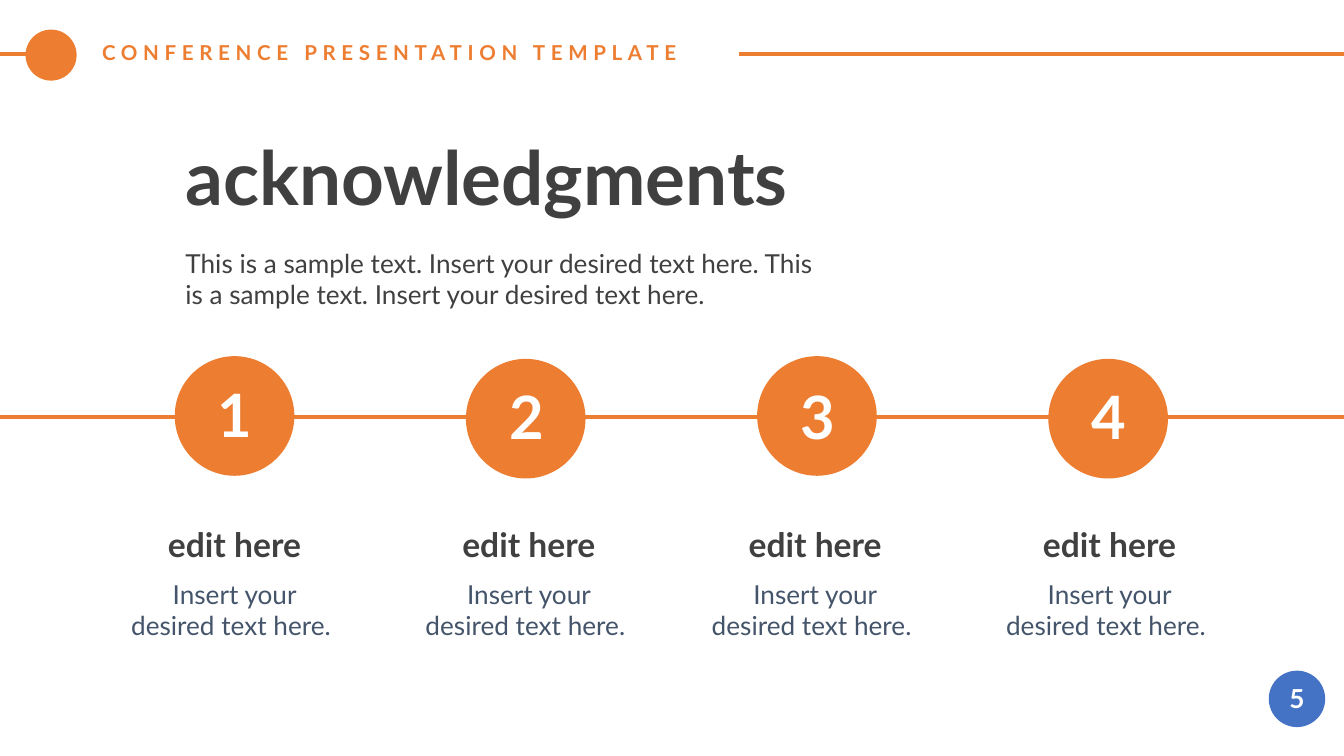
from pptx import Presentation
from pptx.dml.color import RGBColor
from pptx.enum.shapes import MSO_CONNECTOR, MSO_SHAPE
from pptx.enum.text import MSO_ANCHOR, MSO_AUTO_SIZE, PP_ALIGN
from pptx.oxml.ns import qn
from pptx.util import Inches, Pt

COLORS = {
    "accent": "ED7D31",
    "badge": "4472C4",
    "dark": "404040",
    "slate": "44546A",
    "white": "FFFFFF",
}
FONT = "Lato"
STEP_PITCH = 6.5 / 3

# Number, circle top, number top, caption left
STEPS = [
    ("1", 2.65, 2.78, 0.96),
    ("2", 2.67, 2.8, 3.15),
    ("3", 2.65, 2.8, 5.28),
    ("4", 2.67, 2.8, 7.47),
]


def color(name):
    return RGBColor.from_string(COLORS[name])


def add_line(slide, start, end, top):
    line = slide.shapes.add_connector(
        MSO_CONNECTOR.STRAIGHT, Inches(start), Inches(top), Inches(end), Inches(top))
    line.line.color.rgb = color("accent")
    line.line.width = Pt(2)
    properties = line._element.spPr
    properties.append(properties.makeelement(qn("a:effectLst"), {}))


def add_circle(slide, left, top, diameter, fill="accent"):
    circle = slide.shapes.add_shape(
        MSO_SHAPE.OVAL, Inches(left), Inches(top), Inches(diameter), Inches(diameter))
    circle.shadow.inherit = False
    circle.fill.solid()
    circle.fill.fore_color.rgb = color(fill)
    circle.line.fill.background()


def write(shape, text, size, text_color, bold=False,
          align=PP_ALIGN.LEFT, anchor=MSO_ANCHOR.MIDDLE):
    frame = shape.text_frame
    frame.text = text
    frame.word_wrap = True
    frame.auto_size = MSO_AUTO_SIZE.NONE
    frame.vertical_anchor = anchor
    frame.margin_left = frame.margin_right = frame.margin_top = frame.margin_bottom = 0
    paragraph = frame.paragraphs[0]
    paragraph.alignment = align
    font = paragraph.font
    font.name, font.size, font.bold = FONT, Pt(size), bold
    font.color.rgb = color(text_color)
    return paragraph


def add_text(slide, box, text, size, text_color, **style):
    shape = slide.shapes.add_textbox(*map(Inches, box))
    write(shape, text, size, text_color, **style)


def fill_placeholder(placeholder, box, text, size, text_color, **style):
    placeholder.left, placeholder.top, placeholder.width, placeholder.height = map(Inches, box)
    paragraph = write(placeholder, text, size, text_color, bold=True, **style)
    # No bullet or hanging indent
    properties = paragraph._p.get_or_add_pPr()
    properties.set("marL", "0")
    properties.set("indent", "0")
    properties.insert_element_before(
        properties.makeelement(qn("a:buNone"), {}), "a:tabLst", "a:defRPr", "a:extLst")
    # Bring in front of the circles
    placeholder._element.getparent().append(placeholder._element)
    return paragraph


def add_step(slide, index, number, circle_top, number_top, caption_left):
    offset = index * STEP_PITCH
    add_circle(slide, 1.3 + offset, circle_top, 0.89)
    add_text(slide, (1.38 + offset, number_top, 0.74, 0.59), number, 32, "white",
             bold=True, align=PP_ALIGN.CENTER)
    add_text(slide, (caption_left, 3.9, 1.57, 0.3), "edit here", 18, "dark",
             bold=True, align=PP_ALIGN.CENTER)
    add_text(slide, (caption_left, 4.3, 1.57, 0.47), "Insert your desired text here. ",
             14, "slate", align=PP_ALIGN.CENTER)


def main():
    presentation = Presentation()
    # Widescreen, 16:9
    presentation.slide_width = Inches(10)
    presentation.slide_height = Inches(10) * 9 // 16
    # The Two Content layout holds a title and two bodies
    slide = presentation.slides.add_slide(presentation.slide_layouts[3])
    title, header, page_number = list(slide.placeholders)

    # Header band and page badge
    add_circle(slide, 9.44, 4.99, 0.42, "badge")
    add_circle(slide, 0.19, 0.22, 0.38)
    add_line(slide, 0.42, 0, 0.4)
    add_line(slide, 10, 5.5, 0.4)
    paragraph = fill_placeholder(
        header, (0.76, 0.3, 4.69, 0.18), "CONFERENCE PRESENTATION TEMPLATE",
        11, "accent", anchor=MSO_ANCHOR.TOP)
    paragraph.runs[0].font._element.set("spc", "300")
    fill_placeholder(page_number, (9.44, 5.08, 0.42, 0.25), "5", 14, "white",
                     align=PP_ALIGN.CENTER, anchor=MSO_ANCHOR.TOP)

    # Title and introduction
    fill_placeholder(title, (1.38, 1.04, 6.54, 0.54), "acknowledgments", 40, "dark")
    add_text(slide, (1.38, 1.84, 4.7, 0.47),
             "This is a sample text. Insert your desired text here. "
             "This is a sample text. Insert your desired text here.", 14, "dark")

    # Timeline
    add_line(slide, 10, 0, 3.1)
    for index, step in enumerate(STEPS):
        add_step(slide, index, *step)

    presentation.save("out.pptx")


if __name__ == "__main__":
    main()
